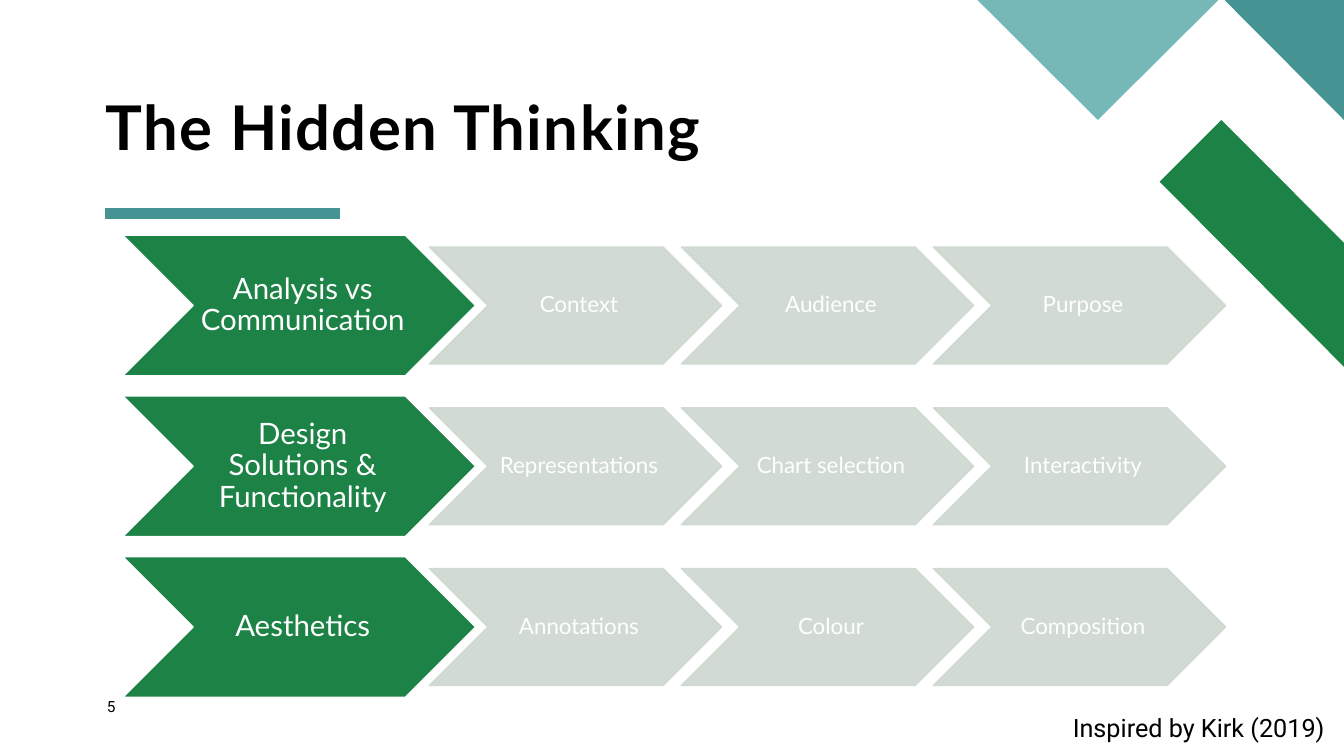
from lxml.etree import SubElement
from pptx import Presentation
from pptx.dml.color import RGBColor
from pptx.enum.shapes import MSO_CONNECTOR as CONN, MSO_SHAPE as SHAPE
from pptx.enum.text import MSO_ANCHOR as ANCHOR, PP_ALIGN as ALIGN
from pptx.oxml.ns import qn
from pptx.util import Pt

COLORS = {"green": "1C8246", "teal": "459393", "aqua": "76B8B8",
          "pale": "CDD8CF", "white": "FFFFFF", "black": "000000"}
ROWS = [
    ("Analysis vs Communication", ["Context", "Audience", "Purpose"]),
    ("Design Solutions & Functionality",
     ["Representations", "Chart selection", "Interactivity"]),
    ("Aesthetics", ["Annotations", "Colour", "Composition"]),
]
CORNER_SHAPES = [
    ("green", [(960, 262), (960, 173.5), (872.5, 85.7), (828.3, 129.8)]),
    ("teal", [(960, 85.7), (960, 0), (874.7, 0)]),
    ("aqua", [(698.2, 0), (784.2, 85.7), (870.3, 0)]),
]
LABELS = [
    ("The Hidden Thinking", (75.6, 69.1, 704.2, 48.2), (0, 0, 0, 0),
     ANCHOR.BOTTOM, ALIGN.LEFT, 0.9, {"name": "Lato", "size": Pt(44), "bold": True}),
    ("5", (76.3, 498.2, 41, 19.4), (0, 0, 0, 0),
     ANCHOR.TOP, ALIGN.LEFT, 1, {"name": "Roboto", "size": Pt(11)}),
    ("Inspired by Kirk (2019)", (607.7, 505.4, 345.6, 28.8), (7.2, 3.6, 7.2, 3.6),
     ANCHOR.TOP, ALIGN.RIGHT, 1, {"name": "Roboto", "size": Pt(18)}),
]
HEAD = {"left": 87.8, "width": 252, "height": 100.5, "size": 21,
        "fill": "green", "line": "white", "alpha": 100}
STEP = {"left": 306.7, "width": 208.8, "height": 83.5, "size": 16,
        "fill": "pale", "line": "pale", "alpha": 90}
FIRST_MIDDLE, ROW_PITCH, STEP_PITCH = 218.2, 114.84, 180
CHEVRON_INSETS = (5, 0.7, 0, 0.7)


def rgb(name):
    return RGBColor.from_string(COLORS[name])


def write(s, text, insets, anchor, align, spacing, color, font):
    tf = s.text_frame
    sides = ("margin_left", "margin_top", "margin_right", "margin_bottom")
    frame = {"word_wrap": True, "vertical_anchor": anchor,
             **{side: Pt(v) for side, v in zip(sides, insets)}}
    for key, value in frame.items():
        setattr(tf, key, value)
    p = tf.paragraphs[0]
    p.alignment, p.line_spacing = align, spacing
    r = p.add_run()
    r.text = text
    for key, value in font.items():
        setattr(r.font, key, value)
    r.font.color.rgb = rgb(color)
    return r


def add_chevron(slide, text, left, middle, style):
    top = middle - style["height"] / 2
    s = slide.shapes.add_shape(SHAPE.CHEVRON, Pt(left), Pt(top),
                               Pt(style["width"]), Pt(style["height"]))
    s.shadow.inherit = False
    s.fill.solid()
    s.fill.fore_color.rgb = rgb(style["fill"])
    s.line.color.rgb = rgb(style["line"])
    s.line.width = Pt(1)
    if style["alpha"] < 100:
        for color in list(s._element.spPr.iter(qn("a:srgbClr"))):
            SubElement(color, qn("a:alpha"), val=str(style["alpha"] * 1000))
    write(s, text, CHEVRON_INSETS, ANCHOR.MIDDLE, ALIGN.CENTER, 0.9, "white",
          {"name": "Lato", "size": Pt(style["size"])})


def add_decoration(slide):
    rule = slide.shapes.add_connector(CONN.STRAIGHT, Pt(75), Pt(152.6), Pt(243), Pt(152.6))
    rule.line.color.rgb = rgb("teal")
    rule.line.width = Pt(8)
    SubElement(rule._element.spPr, qn("a:effectLst"))
    for color, points in CORNER_SHAPES:
        corners = [(Pt(x), Pt(y)) for x, y in points]
        outline = slide.shapes.build_freeform(*corners[0])
        outline.add_line_segments(corners[1:], close=True)
        s = outline.convert_to_shape()
        s.shadow.inherit = False
        s.fill.solid()
        s.fill.fore_color.rgb = rgb(color)
        s.line.fill.background()


def main():
    """Build the slide of three chevron rows and save it."""
    prs = Presentation()
    prs.slide_width, prs.slide_height = Pt(960), Pt(540)
    slide = prs.slides.add_slide(prs.slide_layouts[6])
    add_decoration(slide)
    for i, (head, steps) in enumerate(ROWS):
        middle = FIRST_MIDDLE + i * ROW_PITCH
        add_chevron(slide, head, HEAD["left"], middle, HEAD)
        for j, step in enumerate(steps):
            add_chevron(slide, step, STEP["left"] + j * STEP_PITCH, middle, STEP)
    for text, box, insets, anchor, align, spacing, font in LABELS:
        s = slide.shapes.add_textbox(*map(Pt, box))
        r = write(s, text, insets, anchor, align, spacing, "black", font)
        if font.get("bold"):
            r.font._element.set("spc", "100")
    prs.save("out.pptx")


if __name__ == "__main__":
    main()
